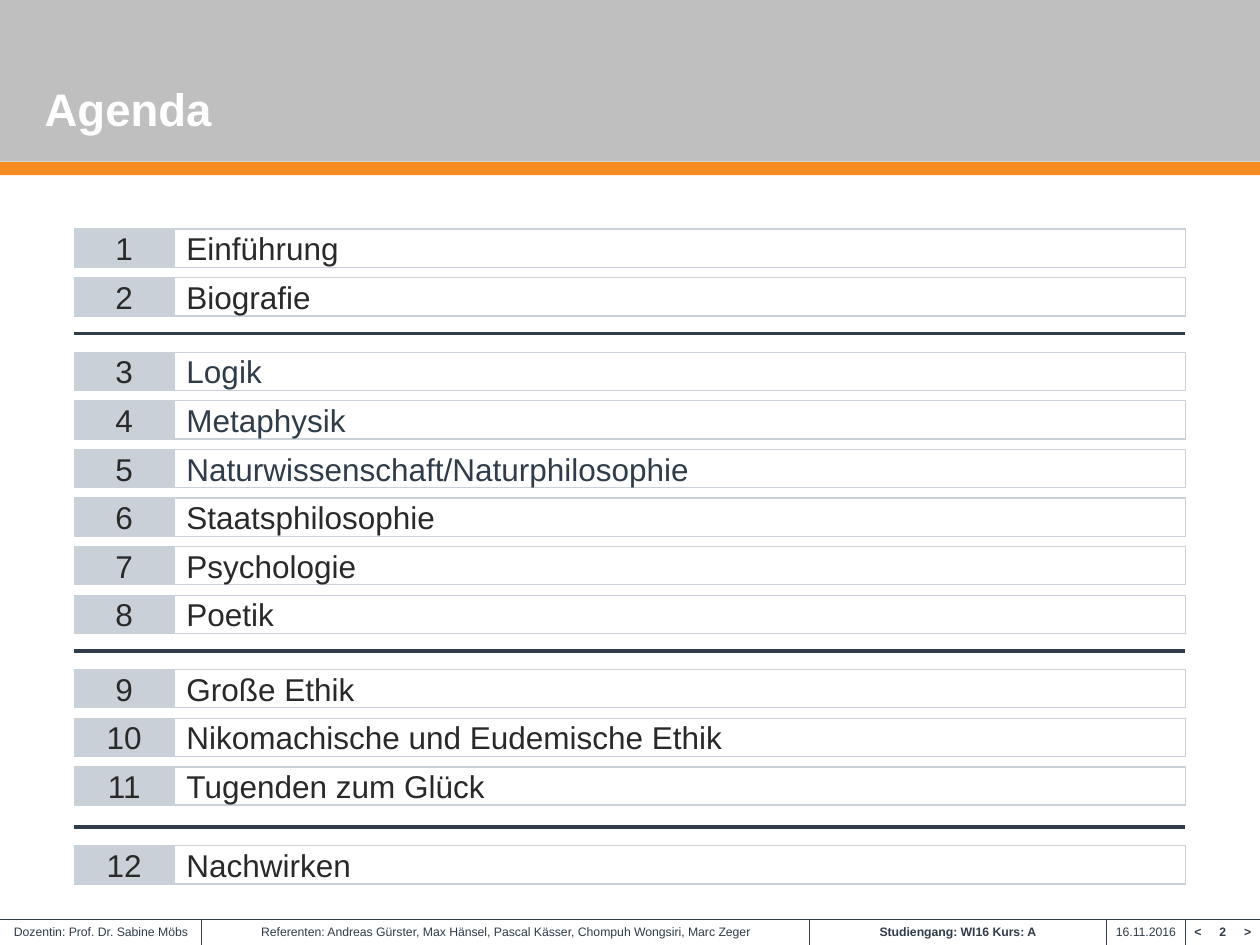
from lxml import etree
from pptx import Presentation
from pptx import util as u
from pptx.dml.color import RGBColor
from pptx.enum import shapes, text
from pptx.oxml.ns import qn

NAVY = RGBColor(0x30, 0x3C, 0x49)
INK = RGBColor(0x29, 0x29, 0x29)
MIST = RGBColor(0xCA, 0xD0, 0xD8)
GREY = RGBColor(0xBF, 0xBF, 0xBF)
ORANGE = RGBColor(0xF6, 0x8B, 0x1F)
WHITE = RGBColor(0xFF, 0xFF, 0xFF)
LEFT, CENTER = text.PP_ALIGN.LEFT, text.PP_ALIGN.CENTER

deck = Presentation()
deck.slide_width, deck.slide_height = u.Cm(25.4), u.Cm(19.05)
slide = deck.slides.add_slide(deck.slide_layouts[5])


def add_box(x, y, w, h, fill, border=None, label="", size=18, color=INK,
            bold=False, align=CENTER, inset=0.0):
    box = slide.shapes.add_shape(shapes.MSO_SHAPE.RECTANGLE,
                                 u.Cm(x), u.Cm(y), u.Cm(w), u.Cm(h))
    box.shadow.inherit = False
    if fill is None:
        box.fill.background()
    else:
        box.fill.solid()
        box.fill.fore_color.rgb = fill
    if border is None:
        box.line.fill.background()
    else:
        box.line.color.rgb = border
        box.line.width = u.Pt(0.75)
    if label:
        frame = box.text_frame
        frame_format = {"margin_left": u.Cm(inset), "margin_right": u.Cm(inset),
                        "margin_top": 0, "margin_bottom": 0, "word_wrap": True,
                        "vertical_anchor": text.MSO_ANCHOR.MIDDLE}
        for name, value in frame_format.items():
            setattr(frame, name, value)
        line = frame.paragraphs[0]
        line.text, line.alignment = label, align
        for name, value in {"name": "Arial", "size": u.Pt(size), "bold": bold}.items():
            setattr(line.font, name, value)
        line.font.color.rgb = color
    return box


def add_rule(x1, y1, x2, y2, width):
    rule = slide.shapes.add_connector(shapes.MSO_CONNECTOR.STRAIGHT,
                                      u.Cm(x1), u.Cm(y1), u.Cm(x2), u.Cm(y2))
    rule.line.color.rgb = NAVY
    rule.line.width = u.Pt(width)
    etree.SubElement(rule.element.spPr, qn("a:effectLst"))


# Header band with title
add_box(0, 3.27, 25.4, 0.26, ORANGE)
band = add_box(0, 0, 25.4, 3.26, GREY)
agenda = slide.shapes.title
band.element.addnext(agenda.element)
agenda_place = {"left": u.Cm(0.9), "top": u.Cm(0.53),
                "width": u.Cm(17.6), "height": u.Cm(2.39)}
for name, value in agenda_place.items():
    setattr(agenda, name, value)
agenda.text_frame.text = "Agenda"
agenda_frame = {"margin_left": 0, "margin_right": 0, "margin_top": 0,
                "margin_bottom": u.Cm(0.18), "word_wrap": True,
                "auto_size": text.MSO_AUTO_SIZE.NONE,
                "vertical_anchor": text.MSO_ANCHOR.BOTTOM}
for name, value in agenda_frame.items():
    setattr(agenda.text_frame, name, value)
heading = agenda.text_frame.paragraphs[0]
heading.alignment = LEFT
for name, value in {"name": "Arial", "size": u.Pt(26), "bold": True}.items():
    setattr(heading.font, name, value)
heading.font.color.rgb = WHITE

# Footer cells: left, width, wording, bold
FOOTER_TOP, FOOTER_HEIGHT = 18.53, 0.52
footer_cells = [
    (0, 4.07, "Dozentin: Prof. Dr. Sabine Möbs", False),
    (4.07, 12.25, "Referenten: Andreas Gürster, Max Hänsel, Pascal Kässer, "
                  "Chompuh Wongsiri, Marc Zeger", False),
    (16.32, 5.98, "Studiengang: WI16 Kurs: A", True),
    (22.3, 1.6, "16.11.2016", False),
    (23.9, 0.5, "<", True),
    (24.4, 0.5, "2", True),
    (24.9, 0.5, ">", True),
]
for x, width, wording, bold in footer_cells:
    add_box(x, FOOTER_TOP, width, FOOTER_HEIGHT, None, label=wording,
            size=7, color=NAVY, bold=bold)
add_rule(0, FOOTER_TOP, 25.4, FOOTER_TOP, 0.5)
for x, *_ in footer_cells[1:5]:
    add_rule(x, FOOTER_TOP, x, FOOTER_TOP + FOOTER_HEIGHT, 0.5)

# Agenda sections: top of the first row, topics
ROW_PITCH, ROW_HEIGHT = 0.98, 0.77
sections = [
    (4.62, ["Einführung", "Biografie"]),
    (7.1, ["Logik", "Metaphysik", "Naturwissenschaft/Naturphilosophie",
           "Staatsphilosophie", "Psychologie", "Poetik"]),
    (13.5, ["Große Ethik", "Nikomachische und Eudemische Ethik",
            "Tugenden zum Glück"]),
    (17.05, ["Nachwirken"]),
]
navy_topics = sections[1][1][:3]
number = 0
for top, topics in sections:
    if number:
        add_rule(1.5, top - 0.38, 23.88, top - 0.38, 2)
    for row, topic in enumerate(topics):
        number += 1
        y = top + row * ROW_PITCH
        add_box(1.5, y, 2.01, ROW_HEIGHT, MIST, MIST, str(number), inset=0.25)
        add_box(3.51, y, 20.39, ROW_HEIGHT, WHITE, MIST, topic, align=LEFT,
                color=NAVY if topic in navy_topics else INK, inset=0.25)

deck.save("out.pptx")
